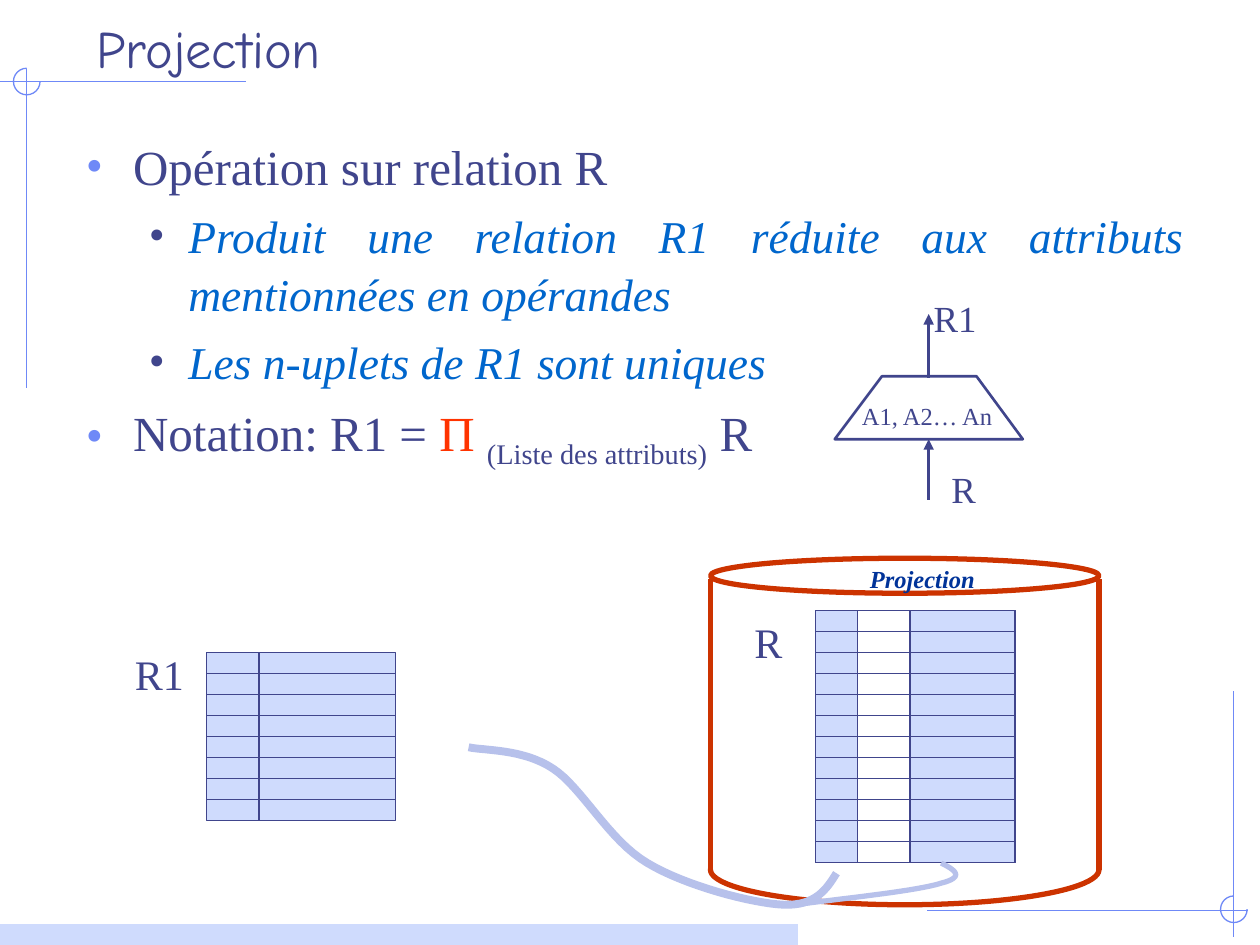
from pptx import Presentation
from pptx.dml.color import RGBColor
from pptx.enum.shapes import MSO_CONNECTOR, MSO_SHAPE
from pptx.enum.text import MSO_ANCHOR, PP_ALIGN
from pptx.oxml.ns import qn
from pptx.util import Pt
from lxml.etree import SubElement

INK, SKY, PALE, RED, LAVENDER = "40458C", "6F89F7", "CFDBFD", "CC3300", "B7C1EB"
WHITE, BLUE, ORANGE = "FFFFFF", "0066CC", "FF3300"
SERIF = "Times New Roman"
ROW_HEIGHT = 12


def color(value):
    return RGBColor.from_string(value)


def paint(shape, fill, line, width):
    shape.shadow.inherit = False
    if fill:
        shape.fill.solid()
        shape.fill.fore_color.rgb = color(fill)
    else:
        shape.fill.background()
    if line:
        shape.line.color.rgb = color(line)
        shape.line.width = Pt(width)
    else:
        shape.line.fill.background()


def add_preset(page, kind, bounds, fill=None, line=None, width=0.75):
    shape = page.shapes.add_shape(kind, *map(Pt, bounds))
    paint(shape, fill, line, width)
    return shape


def add_line(page, start, end, line=INK, width=0.75, arrow=False):
    """Draw a straight line; an arrow points at its start."""
    connector = page.shapes.add_connector(MSO_CONNECTOR.STRAIGHT, *map(Pt, start + end))
    connector.line.color.rgb = color(line)
    connector.line.width = Pt(width)
    properties = connector._element.spPr
    SubElement(properties, qn("a:effectLst"))
    if arrow:
        SubElement(properties.find(qn("a:ln")), qn("a:headEnd"), type="triangle")


def add_outline(page, points, line, width, close=False):
    first, *rest = [(Pt(x), Pt(y)) for x, y in points]
    builder = page.shapes.build_freeform(*first)
    builder.add_line_segments(rest, close=close)
    paint(builder.convert_to_shape(), None, line, width)


def curve_points(start, segments, steps=16):
    """Sample a chain of cubic curves, each given as two controls and an end."""
    points = [start]
    for first, second, end in segments:
        for step in range(1, steps + 1):
            t = step / steps
            weights = ((1 - t) ** 3, 3 * t * (1 - t) ** 2, 3 * t * t * (1 - t), t ** 3)
            corners = (start, first, second, end)
            points.append(tuple(sum(w * corner[axis] for w, corner in zip(weights, corners))
                                for axis in (0, 1)))
        start = end
    return points


def add_span(para, text, ink=INK, baseline=None, **formats):
    span = para.add_run()
    span.text = text
    for name, value in ({"name": SERIF} | formats).items():
        setattr(span.font, name, value)
    span.font.color.rgb = color(ink)
    if baseline:
        span._r.get_or_add_rPr().set("baseline", str(baseline * 1000))


def add_box(page, bounds, anchor=MSO_ANCHOR.TOP):
    frame = page.shapes.add_textbox(*map(Pt, bounds)).text_frame
    frame.word_wrap = True
    frame.vertical_anchor = anchor
    return frame


def add_label(page, text, bounds, size, anchor=MSO_ANCHOR.TOP, **formats):
    frame = add_box(page, bounds, anchor)
    add_span(frame.paragraphs[0], text, size=Pt(size), **formats)


def add_bullet(para, left, hanging, ink):
    properties = para._p.get_or_add_pPr()
    properties.set("marL", str(Pt(left)))
    properties.set("indent", str(-Pt(hanging)))
    bullet_color = SubElement(properties, qn("a:buClr"))
    SubElement(bullet_color, qn("a:srgbClr"), val=ink)
    SubElement(properties, qn("a:buFont"), typeface=SERIF)
    SubElement(properties, qn("a:buChar"), char="•")


def add_body(page):
    main = {"size": Pt(28)}
    detail = {"size": Pt(26), "italic": True, "ink": BLUE}
    items = [
        (0, 0, [("Opération sur relation R", main)]),
        (1, 5.2, [("Produit une relation R1 réduite aux attributs mentionnées en opérandes",
                   detail)]),
        (1, 5.2, [("Les n-uplets de R1 sont uniques", detail)]),
        (0, 5.6, [("Notation: R1 = ", main), ("Π ", main | {"ink": ORANGE}),
                  ("(Liste des attributs)", main | {"baseline": -25}), (" R", main)]),
    ]
    bullets = [(27, 27, SKY), (58.5, 22.5, INK)]
    frame = add_box(page, (42, 72, 642, 433))
    for index, (level, space, spans) in enumerate(items):
        para = frame.add_paragraph() if index else frame.paragraphs[0]
        para.alignment = PP_ALIGN.JUSTIFY
        para.level = level
        para.line_spacing = 1.07
        if space:
            para.space_before = Pt(space)
        add_bullet(para, *bullets[level])
        for text, formats in spans:
            add_span(para, text, **formats)


def add_frame_corners(page):
    for start, end in (((140.5, 46.5), (0, 46.5)), ((15.2, 39.5), (15.2, 221.5)),
                       ((705, 395), (705, 535.5)), ((713, 520.3), (529.7, 520.3))):
        add_line(page, start, end, SKY)
    for left, top in ((7.7, 39), (697.5, 512)):
        arc = add_preset(page, MSO_SHAPE.ARC, (left, top, 15.2, 15.2), None, SKY)
        arc.adjustments[0], arc.adjustments[1] = 0, 162  # from the right round to the top
    add_preset(page, MSO_SHAPE.RECTANGLE, (0, 528, 456, 12), PALE)


def add_cylinder(page):
    left, width = 406, 222
    add_preset(page, MSO_SHAPE.OVAL, (left, 477, width, 40), WHITE, RED, 3)
    add_preset(page, MSO_SHAPE.RECTANGLE, (left, 469, width, 28), WHITE)
    add_preset(page, MSO_SHAPE.OVAL, (left, 319, width, 20), WHITE, RED, 3)
    for x in (left, left + width):
        add_line(page, (x, 331), (x, 497), RED, 3)


def add_relation(page, left, top, width, rows, dividers, fill=None):
    for row in range(rows):
        y = top + row * ROW_HEIGHT
        add_preset(page, MSO_SHAPE.RECTANGLE, (left, y, width, ROW_HEIGHT), fill, INK)
        for x in dividers:
            add_line(page, (x, y), (x, y + ROW_HEIGHT))


def add_projection_links(page):
    wide = curve_points((478, 499), [
        ((472.3, 508.3), (465.8, 517.7), (447.8, 517)),
        ((429.8, 516.2), (391.7, 506.2), (370, 493.2)),
        ((347.8, 480.2), (332.6, 450), (316, 439.2)),
        ((298.8, 427.7), (275.8, 429), (267.8, 427))])
    thin = curve_points((537.8, 493.2), [
        ((545, 496.8), (552.2, 501), (537.8, 504.7)),
        ((524.2, 509), (488.9, 512.6), (454.3, 517))])
    add_outline(page, wide, LAVENDER, 4.5)
    add_outline(page, thin, LAVENDER, 3)


def add_operator(page):
    corners = [(584.5, 251), (558, 215), (504, 215), (477, 251)]
    add_outline(page, corners, INK, 1.5, close=True)
    for tip, tail in ((179.5, 216), (251, 286)):
        add_line(page, (530.7, tip), (530.7, tail), INK, 1.5, arrow=True)
    add_label(page, "A1, A2… An", (485.5, 225.5, 114, 24.5), 14)
    add_label(page, "R", (536.5, 263, 29, 32.5), 21, MSO_ANCHOR.BOTTOM)
    add_label(page, "R1", (526.5, 165, 39, 32.5), 21, MSO_ANCHOR.BOTTOM)


def main():
    deck = Presentation()
    deck.slide_width, deck.slide_height = Pt(720), Pt(540)
    page = deck.slides.add_slide(deck.slide_layouts[6])
    add_frame_corners(page)
    add_cylinder(page)
    for left, width in ((466, 24), (520, 60)):
        add_preset(page, MSO_SHAPE.RECTANGLE, (left, 349, width, 12 * ROW_HEIGHT), PALE, INK)
    add_relation(page, 466, 349, 114, 12, (490, 520))
    add_relation(page, 118, 373, 108, 8, (148,), PALE)
    add_projection_links(page)
    add_label(page, "R1", (70, 367, 48, 36), 24)
    add_label(page, "R", (424, 349, 48, 36), 24)
    add_label(page, "Projection", (48, 0.7, 654, 48), 30, MSO_ANCHOR.BOTTOM, name="Comic Neue")
    add_body(page)
    add_operator(page)
    add_label(page, "Projection", (490, 318.5, 84, 24), 14, ink="003399", bold=True, italic=True)
    deck.save("out.pptx")


if __name__ == "__main__":
    main()
